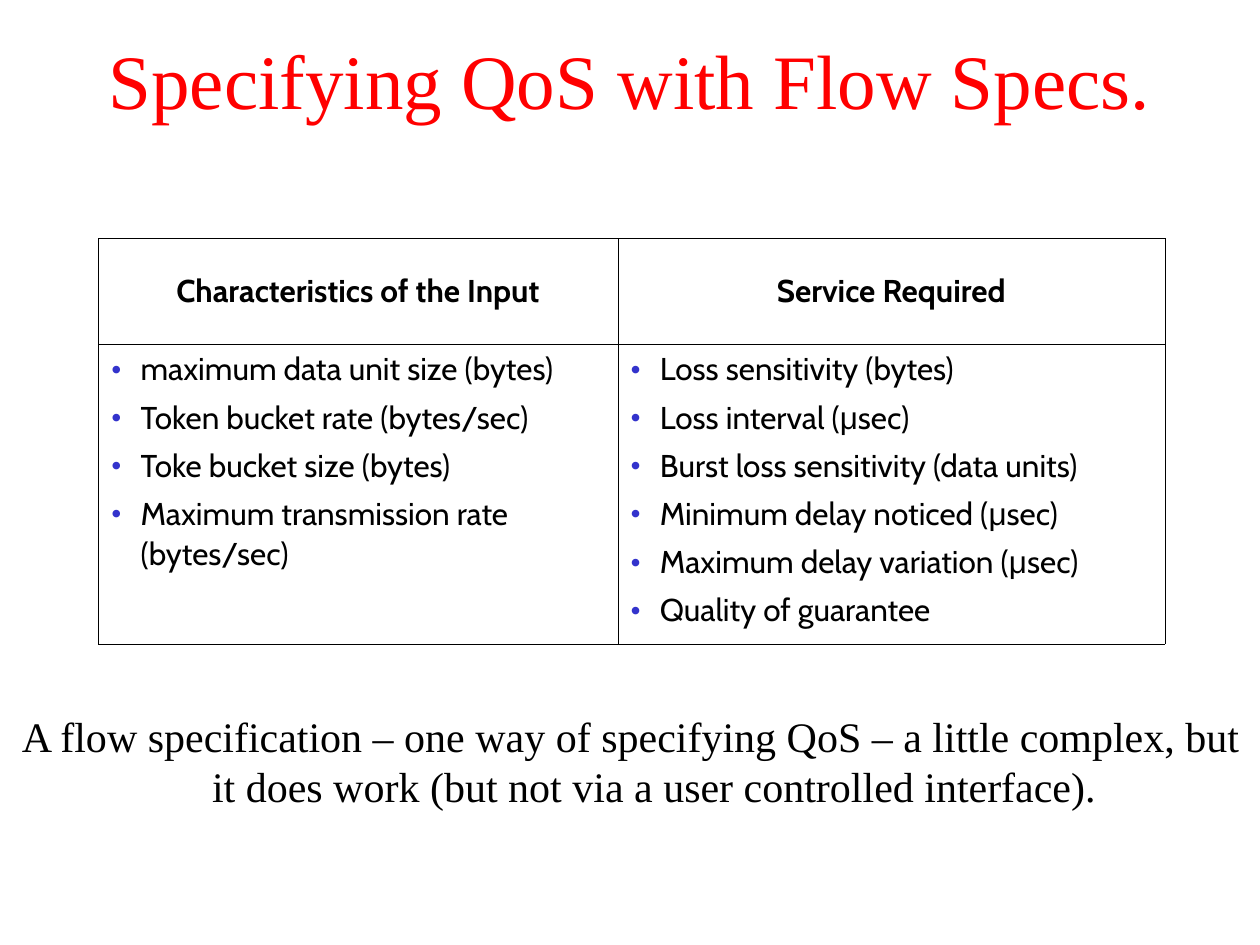
from lxml.etree import SubElement
from pptx import Presentation
from pptx.dml.color import RGBColor
from pptx.enum.text import MSO_ANCHOR, MSO_AUTO_SIZE, PP_ALIGN
from pptx.oxml.ns import qn
from pptx.util import Cm, Pt

SERIF = "Times New Roman"
SANS = "Cabin"
HEADS = ["Characteristics of the Input", "Service Required"]
LISTS = [
    ["maximum data unit size (bytes)", "Token bucket rate (bytes/sec)",
     "Toke bucket size (bytes)", "Maximum transmission rate (bytes/sec)"],
    ["Loss sensitivity (bytes)", "Loss interval (μsec)",
     "Burst loss sensitivity (data units)", "Minimum delay noticed (μsec)",
     "Maximum delay variation (μsec)", "Quality of guarantee"],
]


def paint(code):
    return RGBColor.from_string(code)


def write(para, text, font=SANS, size=18, color="000000", bold=False,
          align=PP_ALIGN.LEFT, before=0, line=None, left=0, first=0, bullet=None):
    para.alignment = align
    para.space_before = Pt(before)
    if line:
        para.line_spacing = line
    props = para._p.get_or_add_pPr()
    props.set("marL", str(Cm(left)))
    props.set("indent", str(Cm(first)))
    if bullet:
        tint = SubElement(props, qn("a:buClr"))
        SubElement(tint, qn("a:srgbClr"), val=bullet)
        SubElement(props, qn("a:buFont"), typeface=SERIF)
        SubElement(props, qn("a:buChar"), char="•")
    else:
        SubElement(props, qn("a:buNone"))
    start, greek, end = text.partition("μ")
    for part in filter(None, (start, greek, end)):
        run = para.add_run()
        run.text = part
        run.font.name = "Arial" if part == "μ" else font
        run.font.size = Pt(size)
        run.font.bold = bold
        run.font.color.rgb = paint(color)


def border(cell, color="000000", width=0.06):
    props = cell._tc.get_or_add_tcPr()
    for place, side in enumerate(("lnL", "lnR", "lnT", "lnB")):
        edge = props.makeelement(qn(f"a:{side}"), {"w": str(Pt(width))})
        fill = SubElement(edge, qn("a:solidFill"))
        SubElement(fill, qn("a:srgbClr"), val=color)
        props.insert(place, edge)


def title(slide, left, top, width, height):
    shape = slide.shapes.title
    shape.left, shape.top = Cm(left), Cm(top)
    shape.width, shape.height = Cm(width), Cm(height)
    frame = shape.text_frame
    frame.auto_size = MSO_AUTO_SIZE.NONE
    frame.vertical_anchor = MSO_ANCHOR.MIDDLE
    write(frame.paragraphs[0], "Specifying QoS with Flow Specs.", font=SERIF,
          size=44, color="FF0000", align=PP_ALIGN.CENTER)


def note(slide, left, top, width, height):
    box = slide.shapes.add_textbox(Cm(left), Cm(top), Cm(width), Cm(height))
    box.text_frame.word_wrap = True
    write(box.text_frame.paragraphs[0],
          "A flow specification – one way of specifying QoS – a little complex, "
          "but it does work (but not via a user controlled interface).",
          font=SERIF, size=24, align=PP_ALIGN.CENTER, before=6,
          left=0.97, first=-0.94)


def specs(slide, left, top, width, height):
    table = slide.shapes.add_table(
        2, 2, Cm(left), Cm(top), Cm(width), Cm(height)).table
    table.first_row = table.horz_banding = False
    table.columns[0].width = Cm(10.47)
    table.columns[1].width = Cm(width - 10.47)
    table.rows[0].height = Cm(2.13)
    table.rows[1].height = Cm(height - 2.13)
    for col, (head, items) in enumerate(zip(HEADS, LISTS)):
        top_cell, cell = table.cell(0, col), table.cell(1, col)
        top_cell.vertical_anchor = MSO_ANCHOR.MIDDLE
        write(top_cell.text_frame.paragraphs[0], head, bold=True,
              align=PP_ALIGN.CENTER, before=4.5, line=1.01)
        frame = cell.text_frame
        for row, item in enumerate(items):
            para = frame.add_paragraph() if row else frame.paragraphs[0]
            write(para, item, before=4.5, line=1.05 if row else 1.01,
                  left=0.6, first=-0.6, bullet="3333CC")
        for part in (top_cell, cell):
            part.fill.background()
            border(part)


def main():
    deck = Presentation()
    deck.slide_width, deck.slide_height = Cm(25.4), Cm(19.05)
    slide = deck.slides.add_slide(deck.slide_layouts[5])
    title(slide, 0, 0, 25.4, 3.18)
    note(slide, 0, 14.2, 25.4, 2.34)
    specs(slide, 1.98, 4.8, 21.5, 8.18)
    deck.save("out.pptx")


if __name__ == "__main__":
    main()
